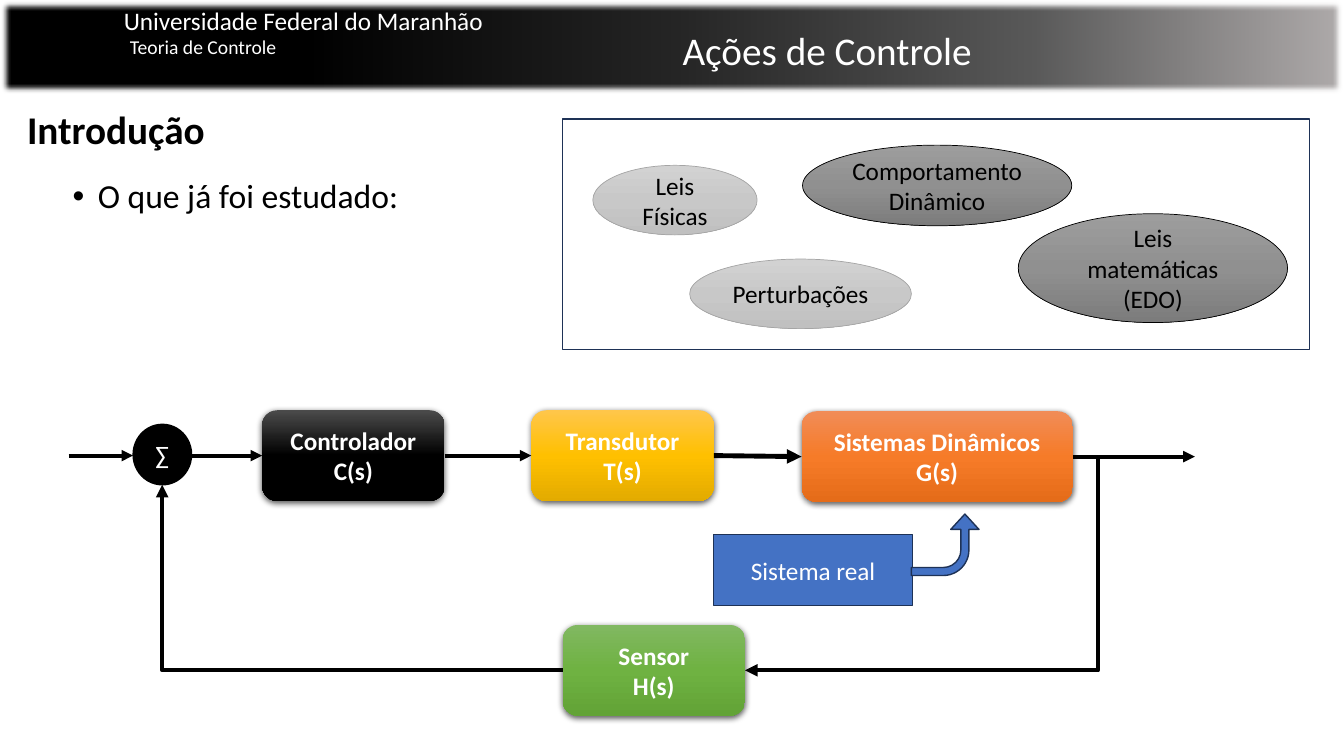
from dataclasses import dataclass
from typing import Optional, Union

from lxml.etree import SubElement
from pptx import Presentation
from pptx.dml.color import RGBColor as RGB
from pptx.enum.shapes import MSO_CONNECTOR as Wire, MSO_SHAPE as Kind
from pptx.enum.text import MSO_ANCHOR as Anchor, MSO_AUTO_SIZE as Auto, PP_ALIGN as Align
from pptx.oxml import parse_xml
from pptx.oxml.ns import nsdecls, qn
from pptx.util import Emu, Inches, Pt

FONT = "Calibri"
WIDTH, HEIGHT = Inches(13.33), Inches(7.5)
COL, ROW = WIDTH / 133.3, HEIGHT / 75

BLACK = RGB(0x00, 0x00, 0x00)
WHITE = RGB(0xFF, 0xFF, 0xFF)
BLUE = RGB(0x44, 0x72, 0xC4)
NAVY = RGB(0x1E, 0x32, 0x56)
GRAY = RGB(0xA5, 0xA5, 0xA5)

Ramp = tuple[tuple[int, RGB], ...]
Box = tuple[float, float, float, float]
Spot = tuple[float, float]


def blend(top: RGB, mid: RGB, low: RGB) -> Ramp:
    return (0, top), (50, mid), (100, low)


BAND: Ramp = (
    (23, BLACK),
    (51, RGB(0x26, 0x26, 0x26)),
    (77, RGB(0x59, 0x59, 0x59)),
    (100, RGB(0xAF, 0xAB, 0xAB)),
)
PALE = blend(RGB(0xD2, 0xD2, 0xD2), RGB(0xC8, 0xC8, 0xC8), RGB(0xC0, 0xC0, 0xC0))
DARK = blend(RGB(0x9D, 0x9D, 0x9D), RGB(0x90, 0x90, 0x90), RGB(0x7C, 0x7C, 0x7C))
COAL = blend(RGB(0x4B, 0x4B, 0x4B), BLACK, BLACK)
GOLD = blend(RGB(0xFF, 0xC6, 0x4B), RGB(0xFF, 0xC0, 0x00), RGB(0xE3, 0xAB, 0x00))
RUST = blend(RGB(0xF1, 0x8C, 0x57), RGB(0xF6, 0x7B, 0x28), RGB(0xE5, 0x6C, 0x19))
GREEN = blend(RGB(0x81, 0xB8, 0x61), RGB(0x6F, 0xB2, 0x42), RGB(0x62, 0xA3, 0x36))


@dataclass(frozen=True)
class Node:
    kind: Kind
    box: Box
    fill: Union[Ramp, RGB, None]
    text: tuple[str, ...] = ()
    line: Optional[RGB] = None
    weight: float = 1
    ink: RGB = WHITE
    angle: int = 90
    block: bool = False


@dataclass(frozen=True)
class Link:
    start: Union[str, Spot]
    end: Union[str, Spot]
    weight: float = 2.75
    wire: Wire = Wire.STRAIGHT
    sides: tuple[int, int] = (3, 1)


def oval(box: Box, text: str, fill: Ramp, line: RGB) -> Node:
    return Node(Kind.OVAL, box, fill, (text,), line, 0.5, BLACK)


def block(left: float, top: float, wide: float, fill: Ramp, *text: str) -> Node:
    return Node(Kind.ROUNDED_RECTANGLE, (left, top, wide, 9), fill, text, block=True)


HEAD = Node(Kind.RECTANGLE, (0, 0, 133.3, 9.4), BAND, angle=0)
NODES = {
    "laws": oval((58.8, 16.4, 16.3, 6.9), "Leis Físicas", PALE, GRAY),
    "motion": oval((79.6, 14.4, 26.7, 8), "Comportamento Dinâmico", DARK, BLACK),
    "maths": oval((101, 21.2, 26.7, 10.8), "Leis matemáticas (EDO)", DARK, BLACK),
    "noise": oval((68.4, 25.7, 22, 6.9), "Perturbações", PALE, GRAY),
    "plant": block(79.5, 40.8, 26.9, RUST, "Sistemas Dinâmicos", "G(s)"),
    "control": block(26, 40.7, 18.1, COAL, "Controlador", "C(s)"),
    "driver": block(52.7, 40.7, 18.1, GOLD, "Transdutor", "T(s)"),
    "sensor": block(55.8, 62, 18.1, GREEN, "Sensor", "H(s)"),
    "real": Node(Kind.RECTANGLE, (70.8, 53, 19.7, 7.1), BLUE, ("Sistema real",), NAVY),
    "bend": Node(Kind.BENT_ARROW, (90.7, 50.7, 6.1, 6.7), BLUE, line=NAVY),
    "sum": Node(Kind.FLOWCHART_CONNECTOR, (13.2, 42.1, 5.8, 6), BLACK, ("∑",), BLACK),
    "frame": Node(Kind.RECTANGLE, (55.8, 11.8, 74.1, 22.9), None, line=NAVY),
}
LINKS = (
    Link((6.8, 45.2), (13.2, 45.2)),
    Link((19, 45.2), "control"),
    Link("control", "driver"),
    Link("driver", "plant", 3.5),
    Link("plant", (118.5, 45.3)),
)
OUTER = Link("plant", "sensor", 3, Wire.ELBOW, (3, 3))
INNER = Link("sensor", (16.1, 48.1), 3, Wire.ELBOW, (1, 0))


def place(shape, box: Box) -> None:
    left, top, wide, tall = box
    shape.left, shape.top = Emu(round(left * COL)), Emu(round(top * ROW))
    shape.width, shape.height = Emu(round(wide * COL)), Emu(round(tall * ROW))


def write(para, text: str, size: float, ink: RGB, bold: bool = False) -> None:
    run = para.add_run()
    run.text = text
    run.font.name, run.font.size, run.font.bold = FONT, Pt(size), bold
    run.font.color.rgb = ink


def shade(shape, ramp: Ramp, angle: int) -> None:
    stops = "".join(f'<a:gs pos="{at * 1000}"><a:srgbClr val="{ink}"/></a:gs>' for at, ink in ramp)
    fill = parse_xml(
        f'<a:gradFill {nsdecls("a")} rotWithShape="1"><a:gsLst>{stops}</a:gsLst>'
        f'<a:lin ang="{angle * 60000}" scaled="0"/></a:gradFill>'
    )
    shape.element.spPr.find(qn("a:prstGeom")).addnext(fill)


def effect(shape, xml: str) -> None:
    shape.element.spPr.find(qn("a:effectLst")).append(parse_xml(xml))


def draw(slide, node: Node):
    shape = slide.shapes.add_shape(node.kind, 0, 0, 0, 0)
    place(shape, node.box)
    shape.shadow.inherit = False
    if node.fill is None:
        shape.fill.background()
    elif isinstance(node.fill, RGB):
        shape.fill.solid()
        shape.fill.fore_color.rgb = node.fill
    else:
        shade(shape, node.fill, node.angle)
    if node.line is None:
        shape.line.fill.background()
    else:
        shape.line.color.rgb, shape.line.width = node.line, Pt(node.weight)
    if node.block:
        effect(shape, f'<a:outerShdw {nsdecls("a")} blurRad="57150" dist="19050" dir="5400000" '
               'algn="ctr" rotWithShape="0"><a:srgbClr val="000000"><a:alpha val="63000"/>'
               '</a:srgbClr></a:outerShdw>')
    frame = shape.text_frame
    frame.vertical_anchor = Anchor.MIDDLE
    for spot, text in enumerate(node.text):
        para = frame.add_paragraph() if spot else frame.paragraphs[0]
        para.alignment = Align.CENTER
        write(para, text, 18, node.ink, node.block)
    return shape


def join(slide, link: Link, parts: dict):
    ends = [(0, 0) if isinstance(end, str) else end for end in (link.start, link.end)]
    spots = [Emu(round(step * unit)) for end in ends for step, unit in zip(end, (COL, ROW))]
    wire = slide.shapes.add_connector(link.wire, *spots)
    for end, side, hook in zip(
        (link.start, link.end), link.sides, (wire.begin_connect, wire.end_connect)
    ):
        if isinstance(end, str):
            hook(parts[end], side)
    wire.line.color.rgb, wire.line.width = BLACK, Pt(link.weight)
    SubElement(wire.line._get_or_add_ln(), qn("a:tailEnd"), type="triangle")
    SubElement(wire.element.spPr, qn("a:effectLst"))
    return wire


def label(shape, box: Box, text: str, ink: RGB, bold: bool = False) -> None:
    place(shape, box)
    frame = shape.text_frame
    frame.word_wrap, frame.auto_size = True, Auto.NONE
    frame.vertical_anchor = Anchor.MIDDLE
    para = frame.paragraphs[0]
    para.alignment, para.line_spacing = Align.LEFT, 0.9
    write(para, text, 28, ink, bold)


def main() -> None:
    deck = Presentation()
    deck.slide_width, deck.slide_height = WIDTH, HEIGHT
    slide = deck.slides.add_slide(deck.slide_layouts[1])
    title, body = slide.placeholders

    head = draw(slide, HEAD)
    effect(head, f'<a:softEdge {nsdecls("a")} rad="63500"/>')
    frame = head.text_frame
    frame.vertical_anchor = Anchor.TOP
    rows = (("Universidade Federal do Maranhão", 18, 11.3), ("Teoria de Controle", 14, 11.9))
    for para, (text, size, inset) in zip((frame.paragraphs[0], frame.add_paragraph()), rows):
        para.alignment = Align.LEFT
        para._p.get_or_add_pPr().set("marL", str(round(inset * COL)))
        write(para, text, size, WHITE)

    head.element.addnext(title.element)
    label(title, (66.7, 2.2, 51.6, 6), "Ações de Controle", WHITE)
    intro = slide.shapes.add_textbox(0, 0, 0, 0)
    label(intro, (1.7, 10.1, 51.6, 6), "Introdução", BLACK, True)

    place(body, (6.2, 17.3, 115, 47.6))
    body.text_frame.auto_size = Auto.NONE
    item = body.text_frame.paragraphs[0]
    item.line_spacing, item.space_before = 0.9, Pt(10)
    props = item._p.get_or_add_pPr()
    props.set("marL", str(Inches(0.25)))
    props.set("indent", str(-Inches(0.25)))
    SubElement(props, qn("a:buFont"), typeface="Arial")
    SubElement(props, qn("a:buChar"), char="•")
    write(item, "O que já foi estudado:", 24, BLACK)

    parts = {name: draw(slide, node) for name, node in NODES.items()}
    bend = parts["bend"]
    bend.rotation = 270
    bend.element.spPr.find(qn("a:xfrm")).set("flipV", "1")
    for spot, share in enumerate((0.131, 0.23, 0.25, 0.417)):
        bend.adjustments[spot] = share

    for link in LINKS:
        join(slide, link, parts)
    outer = join(slide, OUTER, parts).element.spPr.find(qn("a:prstGeom"))
    SubElement(outer.find(qn("a:avLst")), qn("a:gd"), name="adj1", fmla="val -7700")
    inner = join(slide, INNER, parts).element
    inner.spPr.find(qn("a:prstGeom")).set("prst", "bentConnector2")
    SubElement(inner.nvCxnSpPr.cNvCxnSpPr, qn("a:endCxn"), id=str(parts["sum"].shape_id), idx="4")
    deck.save("out.pptx")


if __name__ == "__main__":
    main()
